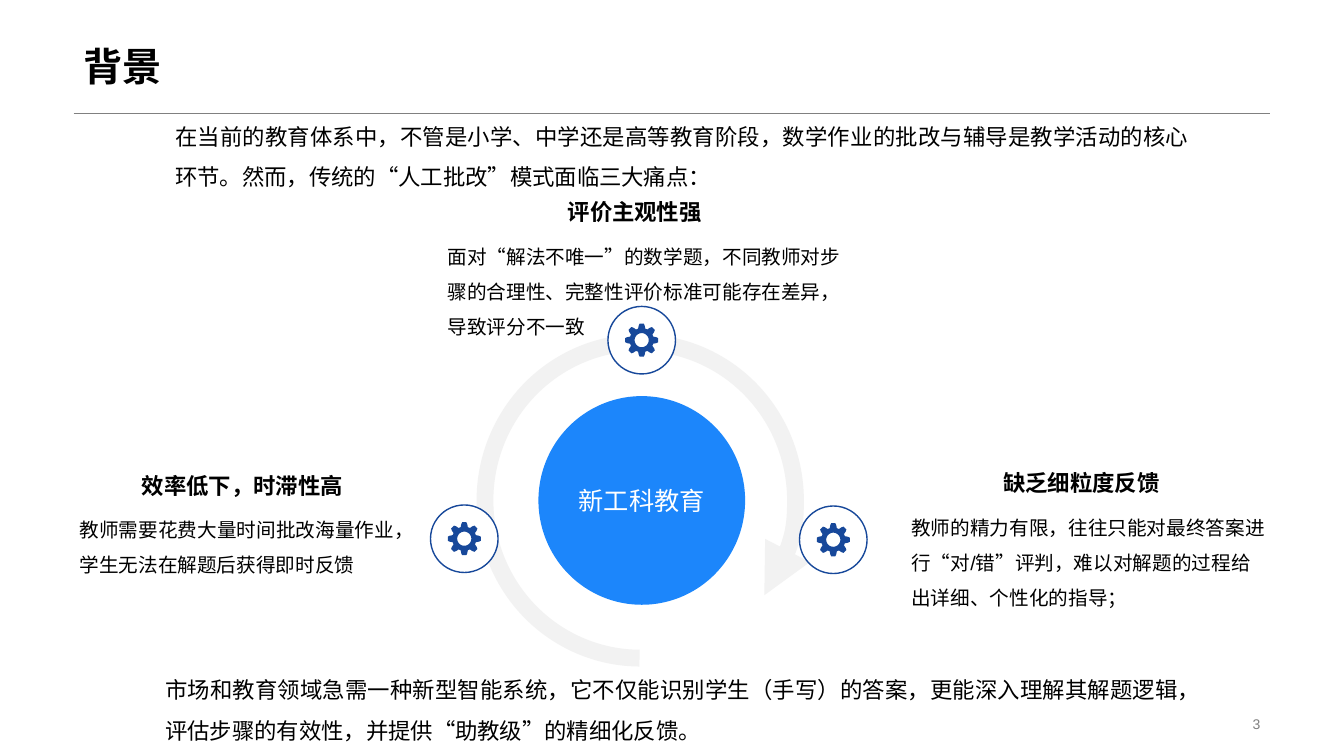
import math

from pptx import Presentation
from pptx import util as u
from pptx.dml.color import RGBColor
from pptx.enum import lang, shapes, text
from pptx.oxml.ns import qn
from lxml import etree

BLUE, NAVY, PALE, GREY = "1C86FB", "17489A", "F2F2F2", "808080"
BLACK, WHITE = "000000", "FFFFFF"
LEFT, CENTER = text.PP_ALIGN.LEFT, text.PP_ALIGN.CENTER
RIGHT, JUSTIFY = text.PP_ALIGN.RIGHT, text.PP_ALIGN.JUSTIFY
TOP, MIDDLE, BOTTOM = (text.MSO_ANCHOR.TOP, text.MSO_ANCHOR.MIDDLE,
                       text.MSO_ANCHOR.BOTTOM)
ICON_SIZE = 0.67


def color(value):
    return RGBColor.from_string(value)


def inches(*lengths):
    return [u.Inches(length) for length in lengths]


def write(shape, words, size=16, ink=BLACK, bold=False, align=LEFT,
          anchor=TOP, spacing=1.0):
    frame = shape.text_frame
    frame.word_wrap = True
    frame.auto_size = text.MSO_AUTO_SIZE.NONE
    frame.vertical_anchor = anchor
    para = frame.paragraphs[0]
    para.alignment = align
    para.line_spacing = spacing
    span = para.add_run()
    span.text = words
    span.font.name = "Arial"
    span.font.size = u.Pt(size)
    span.font.bold = bold
    span.font.color.rgb = color(ink)
    span.font.language_id = lang.MSO_LANGUAGE_ID.SIMPLIFIED_CHINESE


def add_text(page, box, words, **style):
    write(page.shapes.add_textbox(*inches(*box)), words, **style)


def add_heading(page, box, words):
    add_text(page, box, words, bold=True, align=CENTER, anchor=MIDDLE)


def add_disc(owner, box, fill, line=None):
    disc = owner.shapes.add_shape(shapes.MSO_SHAPE.OVAL, *inches(*box))
    disc.shadow.inherit = False
    disc.fill.solid()
    disc.fill.fore_color.rgb = color(fill)
    if line:
        disc.line.color.rgb = color(line)
        disc.line.width = u.Pt(1)
    else:
        disc.line.fill.background()
    return disc


def add_gear_icon(page, left, top):
    """Circle around a gear with eight teeth and a round hole."""
    icon = page.shapes.add_group_shape()
    add_disc(icon, (left, top, ICON_SIZE, ICON_SIZE), WHITE, NAVY)
    middle_x, middle_y = left + ICON_SIZE / 2, top + ICON_SIZE / 2

    def point(radius, degrees):
        angle = math.radians(degrees)
        return inches(middle_x + radius * math.cos(angle),
                      middle_y + radius * math.sin(angle))

    tooth = [(-17, 0.12), (-13, 0.14), (-11, 0.15), (-7, 0.165),
             (7, 0.165), (11, 0.15), (13, 0.14), (17, 0.12)]
    rim = [point(radius, 45 * number + turn)
           for number in range(8) for turn, radius in tooth]
    hole = [point(0.07, -10 * step) for step in range(36)]
    builder = icon.shapes.build_freeform(*rim[0])
    builder.add_line_segments(rim[1:], close=True)
    builder.move_to(*hole[0])
    builder.add_line_segments(hole[1:], close=True)
    gear = builder.convert_to_shape()
    gear.shadow.inherit = False
    gear.fill.solid()
    gear.fill.fore_color.rgb = color(NAVY)
    gear.line.fill.background()


def add_cycle_arrow(page, box):
    arc = page.shapes.add_shape(shapes.MSO_SHAPE.ARC, *inches(*box))
    arc.adjustments[0], arc.adjustments[1] = 54.15, 22.43
    arc.shadow.inherit = False
    arc.fill.background()
    arc.line.color.rgb = color(PALE)
    arc.line.width = u.Pt(12)
    outline = arc.element.spPr.find(qn("a:ln"))
    etree.SubElement(outline, qn("a:tailEnd"), type="triangle")


def add_rule(page, left, right, top):
    rule = page.shapes.add_connector(shapes.MSO_CONNECTOR.STRAIGHT,
                                     *inches(left, top, right, top))
    rule.line.color.rgb = color(GREY)
    rule.line.width = u.Pt(0.25)
    etree.SubElement(rule.element.spPr, qn("a:effectLst"))


def set_title(page, box, words):
    title = page.shapes.title
    title.left, title.top, title.width, title.height = inches(*box)
    write(title, words, size=28, bold=True, anchor=BOTTOM, spacing=0.9)


def main():
    deck = Presentation()
    deck.slide_width, deck.slide_height = inches(13.33, 7.5)
    page = deck.slides.add_slide(deck.slide_layouts[5])

    add_rule(page, 0.73, 12.6, 1.12)
    set_title(page, (0.73, 0, 11.87, 0.94), "背景")
    add_text(page, (9.42, 7.07, 3.18, 0.23), "3", size=10, ink=GREY,
             align=RIGHT, anchor=MIDDLE)

    add_cycle_arrow(page, (4.81, 3.4, 3.08, 3.13))
    for left, top in [(7.93, 5.02), (6.03, 3.04), (4.27, 5.01)]:
        add_gear_icon(page, left, top)
    hub = add_disc(page, (5.34, 3.93, 2.05, 2.07), BLUE)
    write(hub, "新工科教育", size=18, ink=WHITE, align=CENTER, anchor=MIDDLE)

    passages = [
        ((1.64, 1.04), "在当前的教育体系中，不管是小学、中学还是高等教育阶段，"
         "数学作业的批改与辅导是教学活动的核心环节。然而，传统的“人工批改”模式面临三大痛点："),
        ((1.54, 6.53), "市场和教育领域急需一种新型智能系统，它不仅能识别学生（手写）的答案，"
         "更能深入理解其解题逻辑，评估步骤的有效性，并提供“助教级”的精细化反馈。"),
    ]
    for corner, words in passages:
        add_text(page, (*corner, 10.26, 0.93), words, align=JUSTIFY,
                 spacing=1.5)

    problems = [
        ((0.69, 4.55, 3.43, 0.54), "效率低下，时滞性高",
         (0.69, 4.97, 3.32, 0.71), JUSTIFY,
         "教师需要花费大量时间批改海量作业，学生无法在解题后获得即时反馈"),
        ((8.87, 4.52, 3.71, 0.54), "缺乏细粒度反馈",
         (8.94, 4.95, 3.71, 0.71), LEFT,
         "教师的精力有限，往往只能对最终答案进行“对/错”评判，"
         "难以对解题的过程给出详细、个性化的指导；"),
        ((4.44, 1.83, 3.71, 0.54), "评价主观性强",
         (4.34, 2.26, 4.2, 0.71), LEFT,
         "面对“解法不唯一”的数学题，不同教师对步骤的合理性、"
         "完整性评价标准可能存在差异，导致评分不一致"),
    ]
    for heading_box, heading, detail_box, align, detail in problems:
        add_text(page, detail_box, detail, size=14, align=align, spacing=1.5)
        add_heading(page, heading_box, heading)

    deck.save("out.pptx")


if __name__ == "__main__":
    main()
